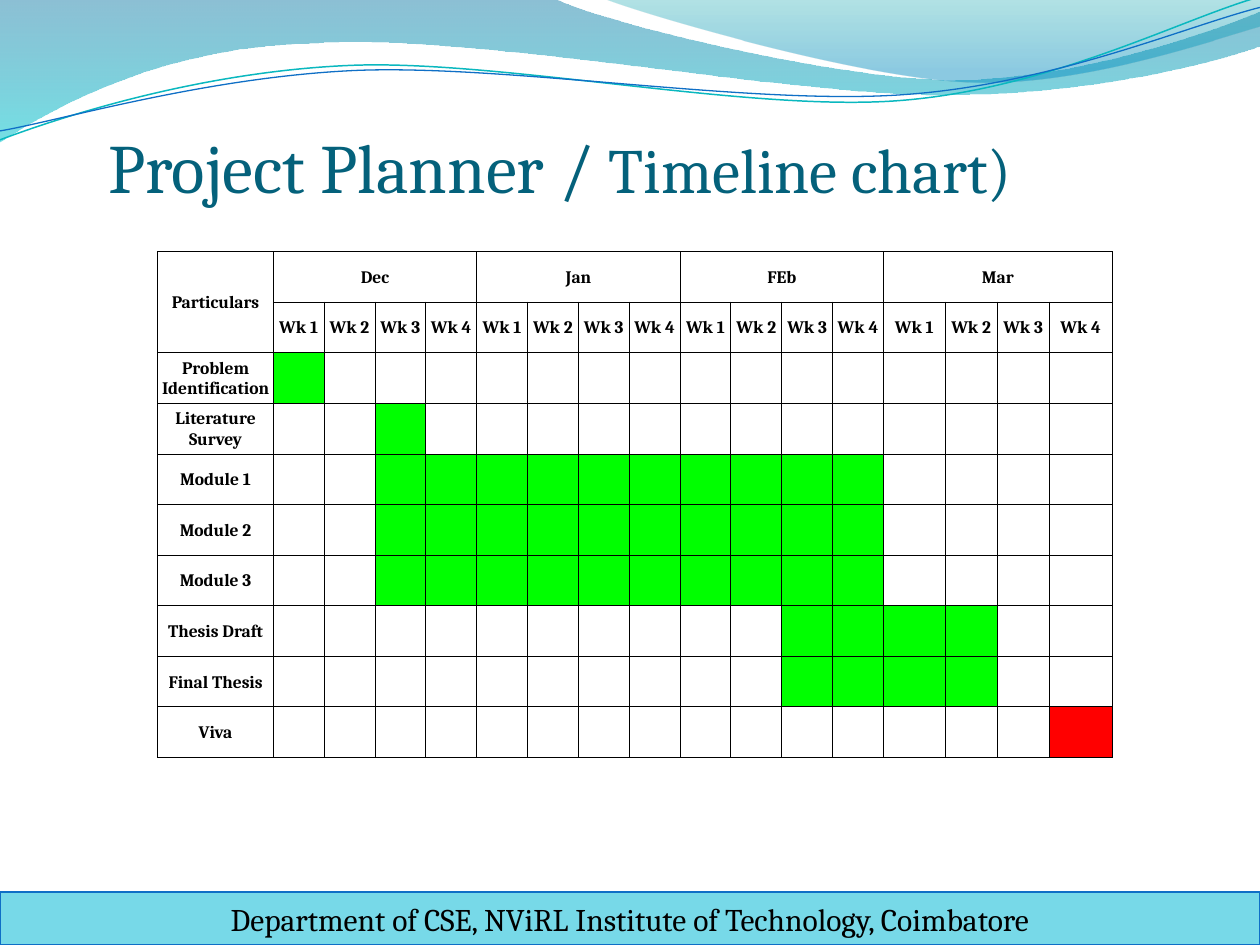
import math
from dataclasses import dataclass

from lxml import etree
from pptx import Presentation
from pptx.dml.color import RGBColor
from pptx.enum import shapes, text
from pptx.oxml.ns import qn
from pptx.util import Cm, Pt

FONT = "Cambria"
COLORS = {
    "title": "04617B", "ink": "000000", "band": "77D9E8", "blue": "0F6FC6",
    "teal": "0AB8BF", "done": "00FF00", "exam": "FF0000",
}
MONTHS = ["Dec", "Jan", "FEb", "Mar"]
WEEKS = 4
COLUMN_WIDTHS = [2.33] + [1.02, 1.03] * 6 + [1.24, 1.05, 1.05, 1.27]
ROW_HEIGHT = 1.02


@dataclass
class Stop:
    """One gradient stop: place from 0 to 1, colour and opacity in percent."""
    position: float
    color: str
    opacity: int


@dataclass
class Wave:
    """A header curve: start, then lines (2 numbers) or Beziers (6), in cm."""
    start: tuple
    segments: list
    stops: tuple = ()
    line: str = ""
    weight: float = 0
    tilt: float = 0


@dataclass
class Task:
    """A planner row with its first and last week, counted from 1."""
    name: str
    first: int
    last: int
    color: str = "done"


WAVES = [
    Wave((0, 0), [(11.18, -0.03), (12.09, 0.43, 16.87, 1.6, 19.25, 1.6),
                  (21.67, 1.6, 24.33, 0.66, 25.4, 0.23), (25.43, 0.91),
                  (24.97, 1.12, 22.1, 1.93, 18.95, 1.91),
                  (15.8, 1.91, 9.7, 0.71, 6.53, 0.86),
                  (3.28, 0.91, 1.17, 2.11, -0.03, 2.87)],
         stops=(Stop(0, "0074A1", 45), Stop(1, "00C6CF", 55))),
    Wave((12.17, -0.03), [(12.93, 0.28, 17.32, 1.57, 19.53, 1.65),
                          (21.74, 1.75, 24.41, 0.81, 25.4, 0.53), (25.4, 0)],
         stops=(Stop(0, "00A1A9", 30), Stop(0.8, "008BBF", 45))),
    Wave((0, 2.82), [(1.22, 2.36, 4.01, 1.45, 7.04, 1.32),
                     (10.03, 1.19, 15.06, 2.26, 18.11, 2.03),
                     (21.16, 1.8, 23.83, 0.38, 25.35, -0.05)],
         line="teal", weight=0.85, tilt=-2.7),
    Wave((0, 2.64), [(1.19, 2.44, 4.17, 1.55, 7.19, 1.42),
                     (10.24, 1.3, 15.16, 2.13, 18.21, 1.91),
                     (21.23, 1.7, 23.9, 0.53, 25.4, 0.15)],
         line="blue", weight=0.75, tilt=-2.7),
]
TASKS = [
    Task("Problem Identification", 1, 1), Task("Literature Survey", 3, 3),
    *(Task(f"Module {number}", 3, 12) for number in (1, 2, 3)),
    Task("Thesis Draft", 11, 14), Task("Final Thesis", 11, 14),
    Task("Viva", 16, 16, "exam"),
]


def rgb(name: str) -> RGBColor:
    """Return a named colour."""
    return RGBColor.from_string(COLORS[name])


def style_runs(frame, size: float, color: str, bold: bool = False) -> None:
    """Format every run of a text frame."""
    for paragraph in frame.paragraphs:
        for run in paragraph.runs:
            run.font.name, run.font.size, run.font.bold = FONT, Pt(size), bold
            run.font.color.rgb = rgb(color)


def rotate(x: float, y: float, degrees: float) -> tuple:
    """Turn a point clockwise about the slide's top left corner."""
    cos, sin = math.cos(math.radians(degrees)), math.sin(math.radians(degrees))
    return x * cos - y * sin, x * sin + y * cos


def curve_segments(shape, wave: Wave) -> None:
    """Join each three line steps of a Bezier segment into one curve."""
    steps = list(shape.element.spPr.iter(qn("a:lnTo")))
    for segment in wave.segments:
        count = len(segment) // 2
        used, steps = steps[:count], steps[count:]
        if count == 3:
            curve = etree.Element(qn("a:cubicBezTo"))
            used[0].addprevious(curve)
            for step in used:
                curve.append(step[0])
                step.getparent().remove(step)


def draw_wave(slide, wave: Wave) -> None:
    """Draw a filled or stroked header curve."""
    outline = [wave.start]
    for segment in wave.segments:
        outline += zip(segment[::2], segment[1::2])
    level = [rotate(x, y, -wave.tilt) for x, y in outline]
    points = [(Cm(x), Cm(y)) for x, y in level]
    builder = slide.shapes.build_freeform(*points[0])
    builder.add_line_segments(points[1:], close=bool(wave.stops))
    shape = builder.convert_to_shape()
    curve_segments(shape, wave)
    shape.shadow.inherit = False
    if not wave.stops:
        center = rotate(shape.left + shape.width / 2, shape.top + shape.height / 2, wave.tilt)
        shape.left = round(center[0] - shape.width / 2)
        shape.top = round(center[1] - shape.height / 2)
        shape.rotation = wave.tilt
        shape.fill.background()
        shape.line.color.rgb, shape.line.width = rgb(wave.line), Pt(wave.weight)
        return
    shape.line.fill.background()
    shape.fill.gradient()
    shape.fill.gradient_angle = 270
    for target, stop in zip(shape.fill.gradient_stops, wave.stops):
        target.position = stop.position
        target.color.rgb = RGBColor.from_string(stop.color)
    colors = shape.element.spPr.iter(qn("a:srgbClr"))
    for color, stop in zip(colors, wave.stops):
        etree.SubElement(color, qn("a:alpha"), val=str(stop.opacity * 1000))


def add_borders(cell) -> None:
    """Put a thin line on all four sides of a cell."""
    properties = cell._tc.get_or_add_tcPr()
    for index, side in enumerate(("lnL", "lnR", "lnT", "lnB")):
        line = etree.Element(qn(f"a:{side}"), w=str(Pt(0.5)))
        fill = etree.SubElement(line, qn("a:solidFill"))
        etree.SubElement(fill, qn("a:srgbClr"), val=COLORS["ink"])
        properties.insert(index, line)


def label(cell, wording: str) -> None:
    """Write a bold centred label in a cell."""
    cell.text_frame.text = wording
    cell.text_frame.paragraphs[0].alignment = text.PP_ALIGN.CENTER
    style_runs(cell.text_frame, 10, "ink", bold=True)


def draw_planner(slide) -> None:
    """Draw the timeline table."""
    row_count = len(TASKS) + 2
    planner = slide.shapes.add_table(
        row_count, len(COLUMN_WIDTHS), Cm(3.18), Cm(5.07),
        Cm(sum(COLUMN_WIDTHS)), Cm(ROW_HEIGHT * row_count)).table
    planner.first_row = planner.horz_banding = False
    for column, width in zip(planner.columns, COLUMN_WIDTHS):
        column.width = Cm(width)
    for row in planner.rows:
        row.height = Cm(ROW_HEIGHT)
    for cell in planner.iter_cells():
        cell.margin_left = cell.margin_right = cell.margin_top = Cm(0.03)
        cell.margin_bottom = 0
        cell.vertical_anchor = text.MSO_ANCHOR.MIDDLE
        cell.fill.background()

    planner.cell(0, 0).merge(planner.cell(1, 0))
    label(planner.cell(0, 0), "Particulars")
    for index, month in enumerate(MONTHS):
        first = 1 + index * WEEKS
        planner.cell(0, first).merge(planner.cell(0, first + WEEKS - 1))
        label(planner.cell(0, first), month)
        for week in range(WEEKS):
            label(planner.cell(1, first + week), f"Wk {week + 1}")
    for row, task in enumerate(TASKS, start=2):
        label(planner.cell(row, 0), task.name)
        for week in range(task.first, task.last + 1):
            planner.cell(row, week).fill.solid()
            planner.cell(row, week).fill.fore_color.rgb = rgb(task.color)
    for cell in planner.iter_cells():
        add_borders(cell)


def set_title(slide) -> None:
    """Place and format the slide title."""
    title = slide.shapes.title
    title.left, title.top, title.width, title.height = Cm(1.27), Cm(2.34), Cm(22.86), Cm(1.85)
    frame = title.text_frame
    frame.auto_size = text.MSO_AUTO_SIZE.NONE
    frame.vertical_anchor = text.MSO_ANCHOR.BOTTOM
    frame.margin_left, frame.margin_top = Cm(0.92), Cm(0.13)
    frame.margin_right = frame.margin_bottom = 0
    heading = frame.paragraphs[0]
    heading.alignment = text.PP_ALIGN.LEFT
    for wording in ("Project Planner / ", "Timeline chart)"):
        heading.add_run().text = wording
    style_runs(frame, 39.6, "title")
    heading.runs[1].font.size = Pt(36)


def draw_footer(slide) -> None:
    """Draw the department band along the bottom edge."""
    band = slide.shapes.add_shape(
        shapes.MSO_SHAPE.RECTANGLE, 0, Cm(17.98), Cm(25.4), Cm(1.07))
    band.shadow.inherit = False
    band.fill.solid()
    band.fill.fore_color.rgb = rgb("band")
    band.line.color.rgb, band.line.width = rgb("blue"), Pt(0.75)
    band.text_frame.text = "Department of CSE, NViRL Institute of Technology, Coimbatore"
    band.text_frame.paragraphs[0].alignment = text.PP_ALIGN.CENTER
    style_runs(band.text_frame, 18, "ink")


deck = Presentation()
deck.slide_width, deck.slide_height = Cm(25.4), Cm(19.05)
timeline = deck.slides.add_slide(deck.slide_layouts[5])
for header_wave in WAVES:
    draw_wave(timeline, header_wave)
set_title(timeline)
draw_footer(timeline)
draw_planner(timeline)
deck.save("out.pptx")
